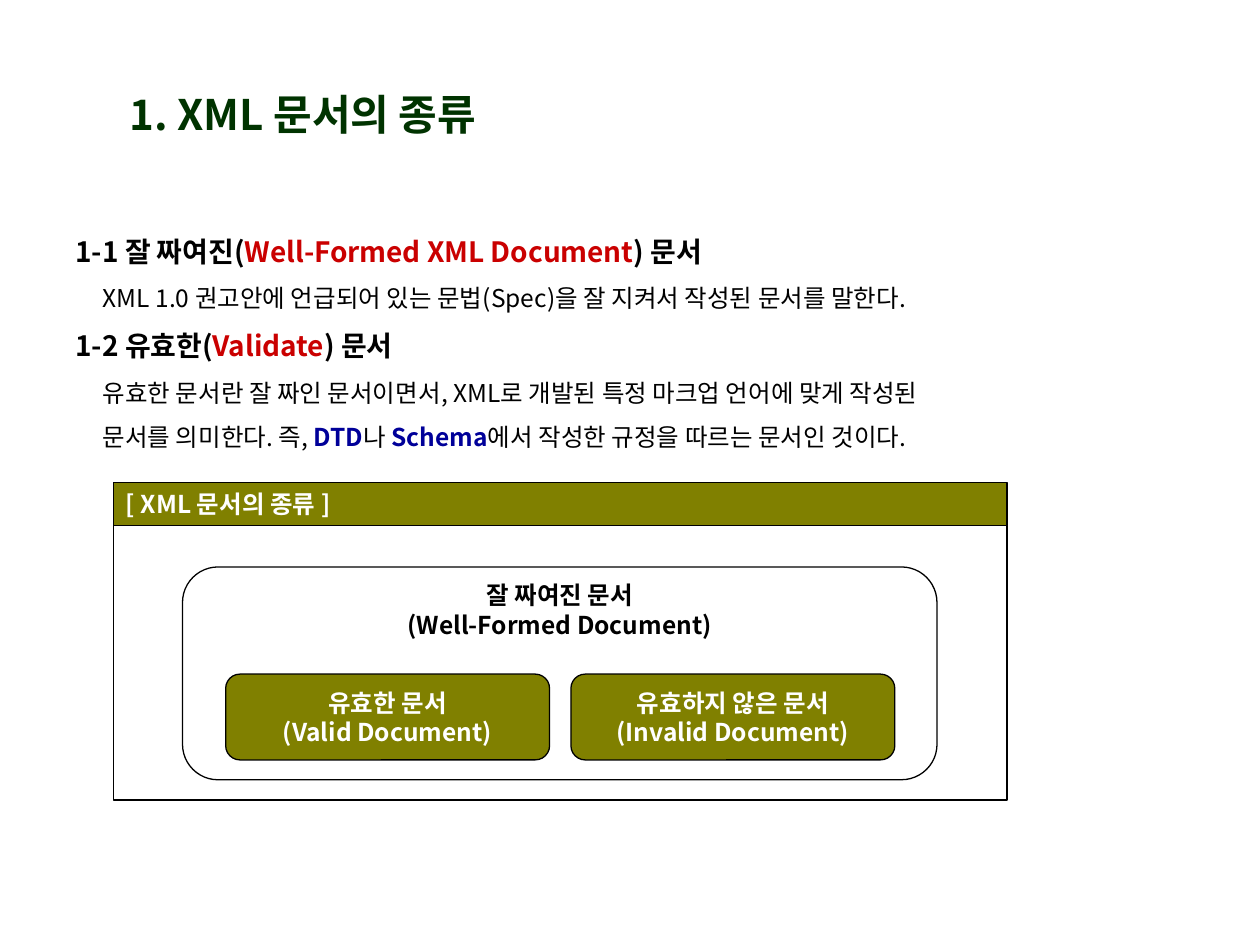
from lxml import etree
from pptx import Presentation
from pptx import util as u
from pptx.dml.color import RGBColor
from pptx.enum import shapes, text
from pptx.oxml.ns import qn

FONT = "Noto Sans CJK KR"
BLACK, WHITE, OLIVE = "000000", "FFFFFF", "808000"
RED, BLUE, GREEN = "CA0000", "000099", "003300"

# Each paragraph: is it a heading, then runs of (text, colour).
BODY = [
    (True, [("1-1 잘 짜여진(", BLACK), ("Well-Formed XML Document", RED), (") 문서", BLACK)]),
    (False, [("XML 1.0 권고안에 언급되어 있는 문법(Spec)을 잘 지켜서 작성된 문서를 말한다.", BLACK)]),
    (True, [("1-2 유효한(", BLACK), ("Validate", RED), (") 문서", BLACK)]),
    (False, [("유효한 문서란 잘 짜인 문서이면서, XML로 개발된 특정 마크업 언어에 맞게 작성된", BLACK)]),
    (False, [("문서를 의미한다. 즉, ", BLACK), ("DTD", BLUE), ("나 ", BLACK),
             ("Schema", BLUE), ("에서 작성한 규정을 따르는 문서인 것이다.", BLACK)]),
]


def color(value):
    return RGBColor.from_string(value)


def place(shape, left, top, width, height):
    shape.left, shape.top = u.Cm(left), u.Cm(top)
    shape.width, shape.height = u.Cm(width), u.Cm(height)


def format_paragraph(paragraph, size, value=None, bold=None):
    font = paragraph.font
    font.name, font.size, font.bold = FONT, u.Pt(size), bold
    properties = paragraph._p.pPr.find(qn("a:defRPr"))
    etree.SubElement(properties, qn("a:ea"), typeface=FONT)
    if value:
        font.color.rgb = color(value)


def add_title(slide, wording):
    title = slide.shapes.title
    place(title, 1.7, 1.52, 8.81, 1.55)
    frame = title.text_frame
    frame.text = wording
    frame.vertical_anchor = text.MSO_ANCHOR.MIDDLE
    frame.paragraphs[0].alignment = text.PP_ALIGN.CENTER
    format_paragraph(frame.paragraphs[0], 24, GREEN, True)


def add_body(slide):
    box = slide.shapes.add_textbox(u.Cm(1.27), u.Cm(4.45), u.Cm(22.86), u.Cm(4.88))
    frame = box.text_frame
    frame.word_wrap = True
    for index, (heading, runs) in enumerate(BODY):
        paragraph = frame.add_paragraph() if index else frame.paragraphs[0]
        paragraph.line_spacing = u.Pt(23.5 if heading else 20.5)
        if index:
            paragraph.space_before = u.Pt(5)
        if not heading:
            paragraph._p.get_or_add_pPr().set("marL", str(u.Cm(0.55)))
        format_paragraph(paragraph, 16 if heading else 14)
        for wording, value in runs:
            run = paragraph.add_run()
            run.text = wording
            run.font.bold = heading or value == BLUE
            run.font.color.rgb = color(value)


def add_panel(slide, kind, box, fill=None):
    """Add a black-outlined shape, unfilled unless a colour is given."""
    panel = slide.shapes.add_shape(kind, *map(u.Cm, box))
    panel.shadow.inherit = False
    if fill:
        panel.fill.solid()
        panel.fill.fore_color.rgb = color(fill)
    else:
        panel.fill.background()
    panel.line.color.rgb = color(BLACK)
    panel.line.width = u.Pt(0.75)
    return panel


def add_label(panel, lines, value, alignment=text.PP_ALIGN.CENTER, anchor=text.MSO_ANCHOR.MIDDLE):
    frame = panel.text_frame
    frame.text = "\n".join(lines)
    frame.vertical_anchor = anchor
    frame.margin_top = frame.margin_bottom = u.Cm(0.05)
    for paragraph in frame.paragraphs:
        paragraph.alignment = alignment
        paragraph.line_spacing = u.Pt(17)
        format_paragraph(paragraph, 14, value, True)


def add_diagram(slide):
    rectangle = shapes.MSO_SHAPE.RECTANGLE
    rounded = shapes.MSO_SHAPE.ROUNDED_RECTANGLE
    left, width = 2.29, 18.01
    add_panel(slide, rectangle, (left, 10.59, width, 5.54))
    header = add_panel(slide, rectangle, (left, 9.73, width, 0.86), OLIVE)
    add_label(header, ["[ XML 문서의 종류 ]"], WHITE, text.PP_ALIGN.LEFT)

    group = add_panel(slide, rounded, (3.68, 11.43, 15.21, 4.29))
    add_label(group, ["잘 짜여진 문서", "(Well-Formed Document)"], BLACK,
              anchor=text.MSO_ANCHOR.TOP)
    kinds = [("유효한 문서", "(Valid Document)"), ("유효하지 않은 문서", "(Invalid Document)")]
    for index, lines in enumerate(kinds):
        button = add_panel(slide, rounded, (4.55 + index * 6.96, 13.59, 6.53, 1.73), OLIVE)
        add_label(button, lines, WHITE)


def main():
    presentation = Presentation()
    presentation.slide_width, presentation.slide_height = u.Cm(25.4), u.Cm(19.05)
    slide = presentation.slides.add_slide(presentation.slide_layouts[5])
    add_title(slide, "1. XML 문서의 종류")
    add_body(slide)
    add_diagram(slide)
    presentation.save("out.pptx")


if __name__ == "__main__":
    main()
